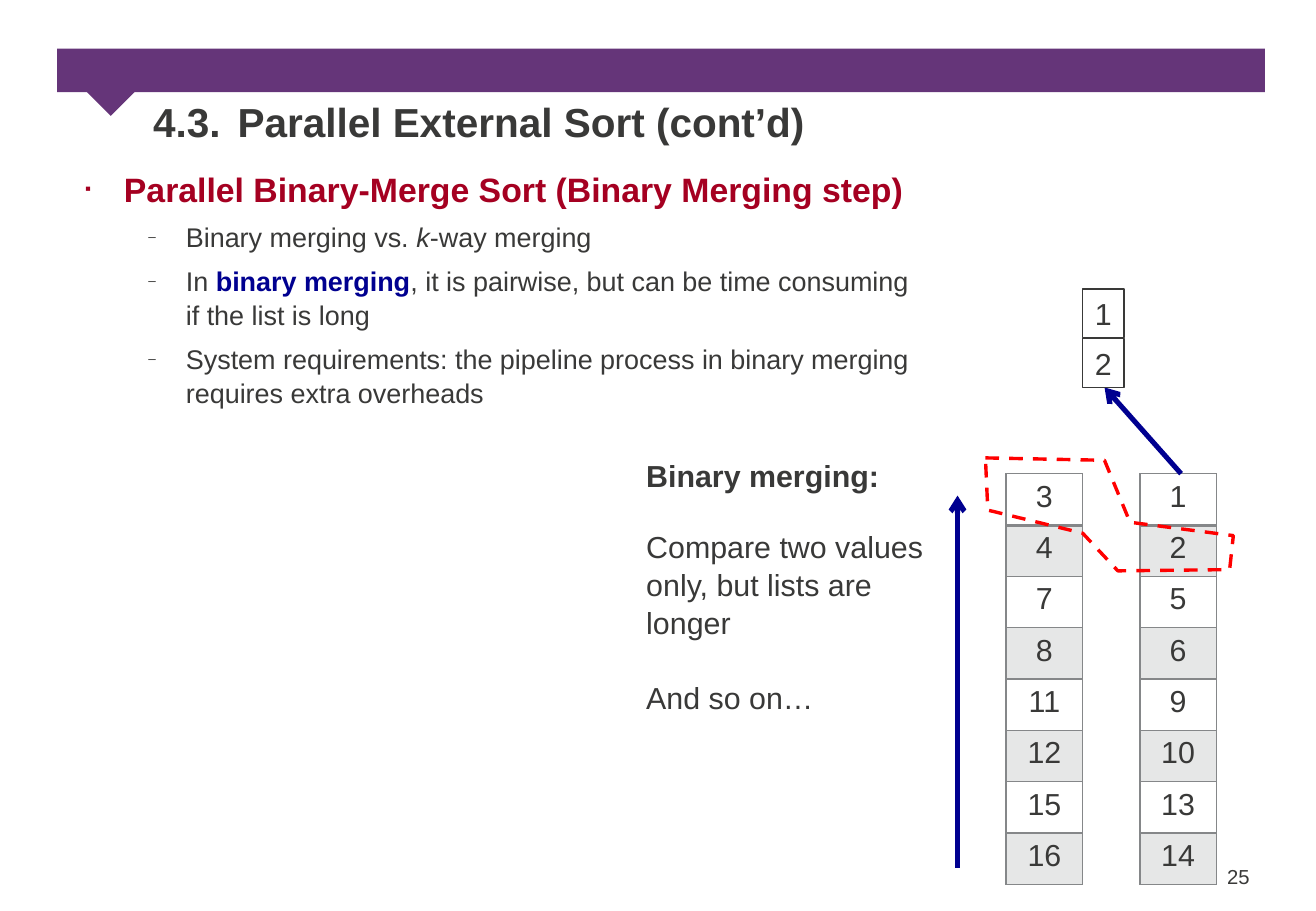
from lxml.etree import SubElement
from pptx import Presentation
from pptx.dml.color import RGBColor
from pptx.enum.dml import MSO_LINE
from pptx.enum.shapes import MSO_CONNECTOR, MSO_SHAPE
from pptx.enum.text import MSO_ANCHOR, MSO_AUTO_SIZE, PP_ALIGN
from pptx.oxml.ns import qn
from pptx.util import Inches, Pt

THEME = {
    "font": "Arial",
    "ink": RGBColor.from_string("393938"),
    "band": RGBColor.from_string("653579"),
    "heading": RGBColor.from_string("A50021"),
    "accent": RGBColor.from_string("000090"),
    "rule": "858789",
    "highlight": RGBColor.from_string("FF0000"),
    "title": 24, "gap": 36, "topic": 20, "point": 16, "body": 18, "page": 12,
}
LEADING = 1.05


def box(*lengths):
    return [Inches(length) for length in lengths]


def write(paragraph, runs, size, color=THEME["ink"], **layout):
    for name, value in layout.items():
        setattr(paragraph, name, value)
    for text, changes in runs:
        run = paragraph.add_run()
        run.text = text
        style = {"name": THEME["font"], "size": Pt(size), "bold": False, "italic": False} | changes
        run.font.color.rgb = style.pop("color", color)
        for name, value in style.items():
            setattr(run.font, name, value)


deck = Presentation()
deck.slide_width, deck.slide_height = box(10.83, 7.5)
slide = deck.slides.add_slide(deck.slide_layouts[1])
shapes = slide.shapes
heading, points = slide.placeholders

for left, top, width, height, turn in [(0.47, 0.4, 9.94, 0.36, 0), (0.78, 0.5, 0.32, 0.4, 45)]:
    band = shapes.add_shape(MSO_SHAPE.RECTANGLE, *box(left, top, width, height))
    band.rotation = turn
    band.shadow.inherit = False
    band.fill.solid()
    band.fill.fore_color.rgb = THEME["band"]
    band.line.fill.background()

for holder, place in [(heading, (1.26, 0.6, 9.21, 1.25)), (points, (0.7, 1.37, 6.9, 4.5))]:
    holder.left, holder.top, holder.width, holder.height = box(*place)
    frame_format = {
        "margin_left": 0, "margin_top": 0, "margin_right": 0, "margin_bottom": 0,
        "vertical_anchor": MSO_ANCHOR.TOP, "auto_size": MSO_AUTO_SIZE.NONE, "word_wrap": True,
    }
    for name, value in frame_format.items():
        setattr(holder.text_frame, name, value)

write(heading.text_frame.paragraphs[0],
      [("4.3.", {"bold": True}), (" ", {"bold": True, "size": Pt(THEME["gap"])}),
       ("Parallel External Sort (cont’d)", {"bold": True})],
      THEME["title"], alignment=PP_ALIGN.LEFT, line_spacing=LEADING)

outline = [
    (0, [("Parallel Binary-Merge Sort (Binary Merging step)",
          {"bold": True, "color": THEME["heading"]})]),
    (1, [("Binary merging vs. ", {}), ("k", {"italic": True}), ("-way merging", {})]),
    (1, [("In ", {}), ("binary merging", {"bold": True, "color": THEME["accent"]}),
         (", it is pairwise, but can be time consuming if the list is long", {})]),
    (1, [("System requirements: the pipeline process in binary merging requires extra overheads", {})]),
]
levels = [(0.32, -0.32, "▪", THEME["topic"]), (0.83, -0.31, "–", THEME["point"])]
for index, (level, runs) in enumerate(outline):
    margin, indent, mark, size = levels[level]
    point = points.text_frame.add_paragraph() if index else points.text_frame.paragraphs[0]
    properties = point._p.get_or_add_pPr()
    properties.set("marL", str(Inches(margin)))
    properties.set("indent", str(Inches(indent)))
    SubElement(properties, qn("a:buSzPct"), val="50000")
    SubElement(properties, qn("a:buFont"), typeface=THEME["font"])
    SubElement(properties, qn("a:buChar"), char=mark)
    write(point, runs, size, level=level, space_before=Pt(0), space_after=Pt(6), line_spacing=LEADING)

notes = [
    ((5.22, 3.7, 2.14, 0.4), False, True, THEME["body"], ["Binary merging:"]),
    ((5.22, 4.28, 2.5, 1.62), True, False, THEME["body"],
     ["Compare two values only, but lists are longer", "And so on…"]),
    ((10, 7.06, 0.41, 0.3), False, False, THEME["page"], ["25"]),
]
for place, wraps, bold, size, lines in notes:
    frame = shapes.add_textbox(*box(*place)).text_frame
    frame.word_wrap = wraps
    for index, line in enumerate(lines):
        paragraph = frame.add_paragraph() if index else frame.paragraphs[0]
        write(paragraph, [(line, {"bold": bold})], size, line_spacing=LEADING,
              space_before=Pt(21.7 if index else 0))

list_top, list_width, list_height, list_pitch = 3.9, 0.63, 3.38, 1.1
sorted_lists = [(3, 4, 7, 8, 11, 12, 15, 16), (1, 2, 5, 6, 9, 10, 13, 14)]
for column, values in enumerate(sorted_lists):
    place = box(8.28 + column * list_pitch, list_top, list_width, list_height)
    table = shapes.add_table(len(values), 1, *place).table
    table.first_row = table.horz_banding = False
    for row, value in enumerate(values):
        cell = table.cell(row, 0)
        write(cell.text_frame.paragraphs[0], [(str(value), {})], THEME["body"], alignment=PP_ALIGN.CENTER)
        cell_properties = cell._tc.get_or_add_tcPr()
        for side in "LRTB":
            heavy = (row, side) in [(0, "B"), (1, "T")]
            border = SubElement(cell_properties, qn(f"a:ln{side}"), w=str(Pt(2 if heavy else 1)))
            SubElement(SubElement(border, qn("a:solidFill")), qn("a:srgbClr"), val=THEME["rule"])
        if row % 2:
            cell.fill.solid()
            cell.fill.fore_color.rgb = RGBColor.from_string(THEME["rule"])
            tint = cell_properties.find(qn("a:solidFill")).find(qn("a:srgbClr"))
            SubElement(tint, qn("a:alpha"), val="20000")
        else:
            cell.fill.background()

for tip_x, tip_y, tail_x, tail_y in [(7.88, 4.08, 7.88, 7.15), (9.09, 3.19, 9.72, list_top)]:
    arrow = shapes.add_connector(MSO_CONNECTOR.STRAIGHT, *box(tip_x, tip_y, tail_x, tail_y))
    arrow.line.color.rgb = THEME["accent"]
    arrow.line.width = Pt(3)
    SubElement(arrow.line._get_or_add_ln(), qn("a:headEnd"), type="arrow")
    SubElement(arrow._element.spPr, qn("a:effectLst"))

for row, value in enumerate("12"):
    merged = shapes.add_shape(MSO_SHAPE.RECTANGLE, *box(8.91, 2.38 + row * 0.41, 0.34, 0.4))
    merged.shadow.inherit = False
    merged.fill.background()
    merged.line.color.rgb = THEME["ink"]
    merged.line.width = Pt(0.75)
    merged.text_frame.word_wrap = False
    write(merged.text_frame.paragraphs[0], [(value, {})], THEME["body"], alignment=PP_ALIGN.CENTER)

corners = [(8.11, 3.77), (9.09, 3.79), (9.3, 4.3), (10.15, 4.41),
           (10.12, 4.69), (9.2, 4.7), (8.91, 4.39), (8.13, 4.2)]
start, *others = [tuple(box(*corner)) for corner in corners]
builder = shapes.build_freeform(*start)
builder.add_line_segments(others, close=True)
compared = builder.convert_to_shape()
compared.shadow.inherit = False
compared.fill.background()
for name, value in {"width": Pt(2), "dash_style": MSO_LINE.DASH}.items():
    setattr(compared.line, name, value)
compared.line.color.rgb = THEME["highlight"]

deck.save("out.pptx")
